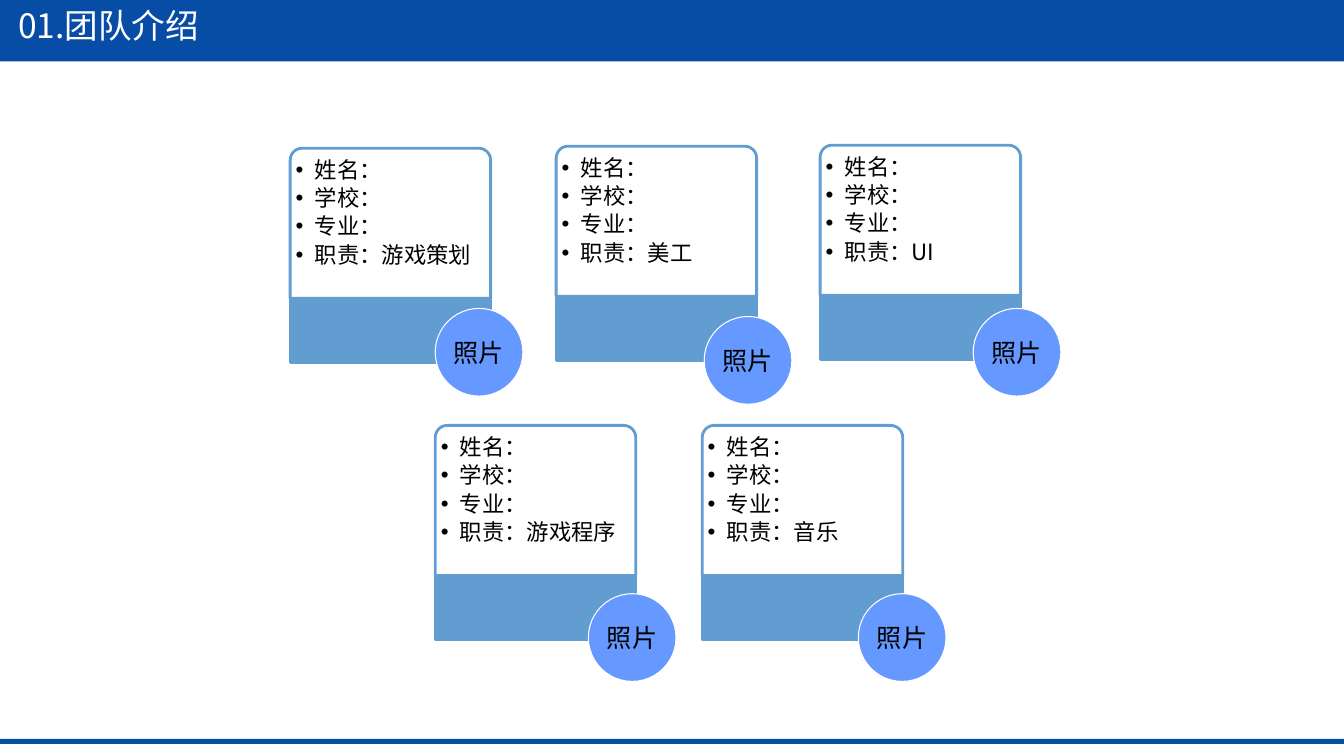
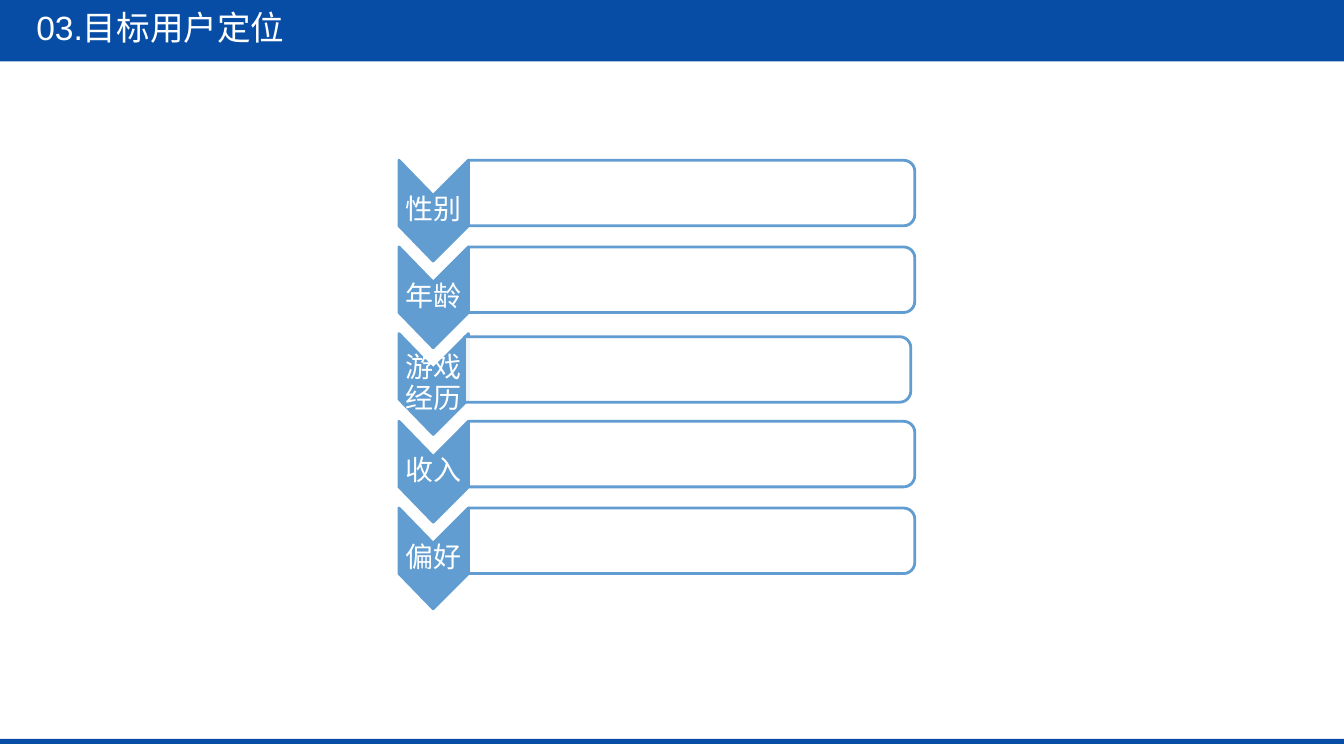
"""Build the team and target user slides."""
from lxml.etree import SubElement as Sub
from pptx import Presentation
from pptx.dml.color import RGBColor as Rgb
from pptx.enum.shapes import MSO_SHAPE as Kind
from pptx.enum.text import MSO_ANCHOR as Anchor, MSO_AUTO_SIZE as Auto, PP_ALIGN as Align
from pptx.oxml.ns import qn
from pptx.util import Pt

PX = 9144
WIDE, HIGH = 1334, 750
NAVY, BLUE, DISC, WHITE, BLACK = "074DA6", "619DD1", "6699FF", "FFFFFF", "000000"
NOTO, ARIAL = "Noto Sans CJK SC", "Arial"

FIELDS = ["姓名：", "学校：", "专业："]
TEAM = [
    ("游戏策划", (288, 147), (432, 306)),
    ("美工", (552, 145), (699, 314)),
    ("UI", (814, 144), (966, 306)),
    ("游戏程序", (432, 422), (584, 589)),
    ("音乐", (697, 422), (852, 589)),
]
CARD_W, CARD_H, BASE_H, PHOTO = 199, 149, 64, 87

TRAITS = [
    ("性别", 0, 0),
    ("年龄", 0, 0),
    ("游戏经历", -4, 3),
    ("收入", 0, 0),
    ("偏好", 0, 0),
]
ROW_X, ROW_Y, STEP = 396, 159, 86.25
ARROW_W, SIDE_H, TIP = 69, 65, 35
BAR_W, BAR_H = 443, 65


def color(code):
    return Rgb.from_string(code)


def paint(shape, fill, line=None, width=2):
    shape.shadow.inherit = False
    shape.fill.solid()
    shape.fill.fore_color.rgb = color(fill)
    if line:
        shape.line.color.rgb = color(line)
        shape.line.width = Pt(width)
    else:
        shape.line.fill.background()


def place(shape, *box):
    shape.left, shape.top, shape.width, shape.height = [n * PX for n in box]


def draw(slide, kind, box, fill, line=None, width=2):
    shape = slide.shapes.add_shape(kind, *[n * PX for n in box])
    paint(shape, fill, line, width)
    return shape


def panel(slide, box, curve):
    shape = draw(slide, Kind.ROUND_2_SAME_RECTANGLE, box, WHITE, BLUE)
    shape.adjustments[0] = curve
    tint = shape.element.spPr.find(qn("a:solidFill")).find(qn("a:srgbClr"))
    Sub(tint, qn("a:alpha"), val="89000")
    return shape


def write(shape, lines, size, face, ink, align=Align.CENTER, anchor=Anchor.MIDDLE,
          inset=(10, 5, 10, 5), wrap=True, space=1.0, bullet=False):
    frame = shape.text_frame
    frame.auto_size, frame.word_wrap = Auto.NONE, wrap
    frame.vertical_anchor = anchor
    (frame.margin_left, frame.margin_top,
     frame.margin_right, frame.margin_bottom) = [n * PX for n in inset]
    frame.text = "\n".join(lines)
    for para in frame.paragraphs:
        props = para._p.get_or_add_pPr()
        if bullet:
            props.set("marL", str(19 * PX))
            props.set("indent", str(-19 * PX))
            Sub(props, qn("a:buFont"), typeface=ARIAL)
            Sub(props, qn("a:buChar"), char="•")
            para.space_after = Pt(3)
        para.alignment, para.line_spacing = align, space
        font = para.font
        font.size, font.name = Pt(size), face
        font.color.rgb = color(ink)
        Sub(props.find(qn("a:defRPr")), qn("a:ea"), typeface=NOTO)


def page(deck, text, face, box):
    slide = deck.slides.add_slide(deck.slide_layouts[5])
    title = slide.shapes.title
    for top, tall in ((0, 61), (733, 5)):
        band = draw(slide, Kind.RECTANGLE, (0, top, WIDE, tall), NAVY)
        title.element.addprevious(band.element)
    place(title, *box)
    write(title, [text], 24, face, WHITE, Align.LEFT)
    return slide


def team(deck):
    slide = page(deck, "01.团队介绍", NOTO, (8, 0, 227, 50))
    for role, (x, y), _ in TEAM:
        card = panel(slide, (x, y, CARD_W, CARD_H), 0.08)
        write(card, FIELDS + ["职责：" + role], 16, NOTO, BLACK, Align.LEFT,
              Anchor.TOP, (2, 7, 2, 2), space=0.9, bullet=True)
        draw(slide, Kind.RECTANGLE, (x, y + CARD_H, CARD_W, BASE_H), BLUE, BLUE)
    for _, _, spot in TEAM:
        photo = draw(slide, Kind.OVAL, (*spot, PHOTO, PHOTO), DISC, WHITE, 0.75)
        write(photo, ["照片"], 18, ARIAL, BLACK, wrap=False)


def users(deck):
    slide = page(deck, "03.目标用户定位", ARIAL, (26, 2, 303, 50))
    right, mid = ROW_X + ARROW_W, ROW_X + ARROW_W / 2
    turn = (BAR_W - BAR_H) // 2
    for i, (name, dx, dy) in enumerate(TRAITS):
        y = ROW_Y + round(STEP * i)
        low = y + SIDE_H
        pen = slide.shapes.build_freeform(ROW_X, y, scale=PX)
        pen.add_line_segments([(mid, y + TIP), (right, y), (right, low),
                               (mid, low + TIP), (ROW_X, low)])
        arrow = pen.convert_to_shape()
        paint(arrow, BLUE, BLUE)
        write(arrow, [name], 20, NOTO, WHITE, inset=(1, 1, 1, 1), space=0.9)
        bar = panel(slide, (right + dx + turn, y + dy - turn, BAR_H, BAR_W), 0.17)
        bar.rotation = 90


def main():
    deck = Presentation()
    deck.slide_width, deck.slide_height = WIDE * PX, HIGH * PX
    team(deck)
    users(deck)
    deck.save("out.pptx")


if __name__ == "__main__":
    main()
